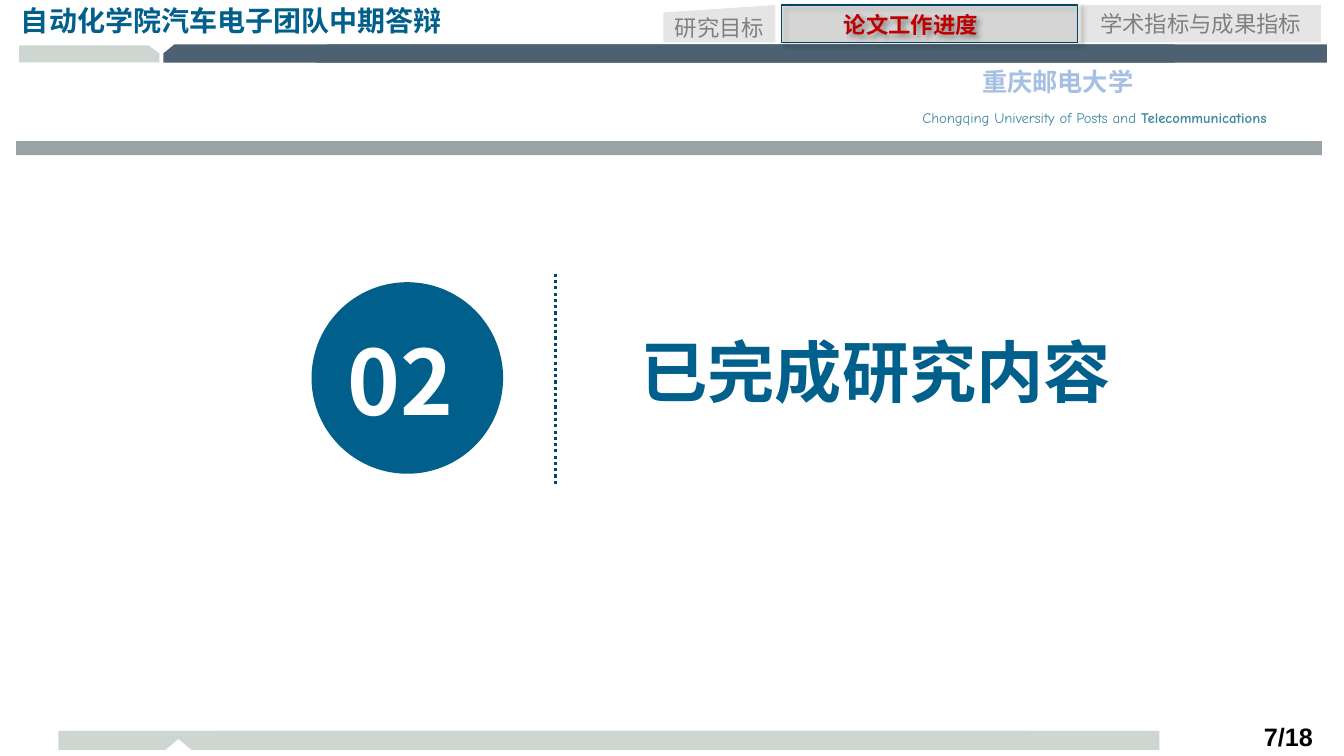
import pptx
import pptx.dml.color
import pptx.enum.dml
import pptx.enum.shapes
import pptx.enum.text
import pptx.oxml
import pptx.oxml.ns
import pptx.util
from lxml import etree

Inches = pptx.util.Inches
SHAPE = pptx.enum.shapes.MSO_SHAPE
ALIGN = pptx.enum.text.PP_ALIGN
ANCHOR = pptx.enum.text.MSO_ANCHOR
CJK, LATIN = "Noto Sans CJK SC", "Comic Neue"
COLORS = {
    "blue": "00608B", "navy": "004767", "slate": "4E6172", "sage": "CDD6D1",
    "ash": "99A2A5", "gray": "808080", "teal": "4089A0", "sky": "A5C0E2",
    "red": "C00000", "white": "FFFFFF", "black": "000000",
}


def rgb(name):
    return pptx.dml.color.RGBColor.from_string(COLORS[name])


def add_run(p, text, size=16, color="gray", bold=False, font=CJK):
    r = p.add_run()
    r.text = text
    r.font.size = pptx.util.Pt(size)
    r.font.bold = bold
    r.font.color.rgb = rgb(color)
    r.font.name = font
    ea = etree.SubElement(r.font._element, pptx.oxml.ns.qn("a:ea"))
    ea.set("typeface", font)


class SlideBuilder:
    """Draws styled elements on one slide."""

    def __init__(self, prs):
        self.s = prs.slides.add_slide(prs.slide_layouts[6])

    def paint(self, sp, fill, alpha=None, line=None):
        sp.shadow.inherit = False
        sp.fill.solid()
        sp.fill.fore_color.rgb = rgb(fill)
        if alpha:
            clr = sp.fill._xPr.find(".//" + pptx.oxml.ns.qn("a:srgbClr"))
            etree.SubElement(clr, pptx.oxml.ns.qn("a:alpha")).set("val", str(alpha * 1000))
        if line:
            sp.line.color.rgb = rgb(line)
            sp.line.width = pptx.util.Pt(1)
        else:
            sp.line.fill.background()
        return sp

    def shape(self, kind, box, fill, **style):
        sp = self.s.shapes.add_shape(kind, *map(Inches, box))
        return self.paint(sp, fill, **style)

    def polygon(self, points, fill):
        points = [(Inches(x), Inches(y)) for x, y in points]
        builder = self.s.shapes.build_freeform(*points[0], scale=1.0)
        builder.add_line_segments(points[1:], close=True)
        return self.paint(builder.convert_to_shape(), fill)

    def shadow(self, sp):
        sp.shadow.inherit = False
        effects = sp._element.spPr.find(pptx.oxml.ns.qn("a:effectLst"))
        effects.append(pptx.oxml.parse_xml(
            f'<a:outerShdw {pptx.oxml.ns.nsdecls("a")} blurRad="50800" dist="38100" '
            'dir="2700000" algn="tl" rotWithShape="0"><a:srgbClr val="000000">'
            '<a:alpha val="40000"/></a:srgbClr></a:outerShdw>'))

    def text(self, box, runs, align=ALIGN.LEFT, inset=(0.1, 0.05), wrap=True, indent=0, **style):
        sp = self.s.shapes.add_textbox(*map(Inches, box))
        tf = sp.text_frame
        tf.word_wrap = wrap
        tf.margin_left = tf.margin_right = Inches(inset[0])
        tf.margin_top = tf.margin_bottom = Inches(inset[1])
        p = tf.paragraphs[0]
        p.alignment = align
        if indent:
            p._p.get_or_add_pPr().set("indent", str(Inches(indent)))
        for text, bold in runs:
            add_run(p, text, bold=bold, **style)
        return sp

    def dotted_line(self, x, top, bottom, color):
        line = self.s.shapes.add_connector(
            pptx.enum.shapes.MSO_CONNECTOR.STRAIGHT,
            Inches(x), Inches(bottom), Inches(x), Inches(top))
        line.line.color.rgb = rgb(color)
        line.line.width = pptx.util.Pt(2.25)
        line.line.dash_style = pptx.enum.dml.MSO_LINE.ROUND_DOT
        etree.SubElement(line._element.spPr, pptx.oxml.ns.qn("a:effectLst"))


def draw_frame(b):
    b.text((8.5, 1.04, 4.71, 0.25),
           [("Chongqing University of Posts and ", False), ("Telecommunications", True)],
           align=ALIGN.CENTER, inset=(0.07, 0.04), size=10.5, color="teal", font=LATIN)
    b.text((8.77, 0.62, 3.44, 0.38), [("重庆邮电大学", True)],
           align=ALIGN.CENTER, inset=(0.07, 0.04), size=18, color="sky")
    for left, right, notch in ((2.12, 11.5, 3.28), (0.58, 10.23, 1.77)):
        b.polygon([(right, 7.25), (right, 7.44), (notch + 0.13, 7.44), (notch, 7.33),
                   (notch - 0.13, 7.44), (left, 7.44), (left, 7.25)], "sage")
    b.polygon([(1.58, 0.62), (0.19, 0.62), (0.19, 0.45), (1.47, 0.45), (1.58, 0.53)], "sage")
    b.shape(SHAPE.RECTANGLE, (0.16, 1.4, 12.95, 0.14), "ash")
    for left, right in ((3.14, 13.16), (1.62, 11.65)):
        b.polygon([(right, 0.44), (right, 0.62), (left, 0.62), (left, 0.53),
                   (left + 0.11, 0.44)], "slate")
    b.text((11.98, 7.11, 1.14, 0.22), [("7/18", True)],
           align=ALIGN.RIGHT, size=18, color="black", font="Arial")
    b.text((0.11, -0.01, 4.41, 0.44), [("自动化学院汽车电子团队中期答辩", True)],
           wrap=False, size=20, color="blue")


def draw_section(b):
    b.text((5.69, 3.21, 5.49, 0.94), [("已完成研究内容", True)], align=ALIGN.CENTER,
           inset=(0.13, 0.07), wrap=False, indent=0.5, size=48, color="blue")
    b.dotted_line(5.51, 2.69, 4.8, "navy")
    b.shape(SHAPE.OVAL, (3.09, 2.8, 1.9, 1.9), "blue")
    b.text((3.45, 3.23, 1.11, 1.08), [("02", True)],
           inset=(0, 0), wrap=False, size=64, color="white")


def draw_tabs(b):
    goal = b.shape(SHAPE.FLOWCHART_MANUAL_INPUT, (6.58, 0.05, 1.11, 0.37), "gray", alpha=20)
    goal.text_frame.vertical_anchor = ANCHOR.MIDDLE
    p = goal.text_frame.paragraphs[0]
    p.alignment = ALIGN.CENTER
    add_run(p, "研究目标")
    b.shape(SHAPE.RECTANGLE, (10.72, 0.05, 2.38, 0.37), "gray", alpha=20)
    b.text((10.75, 0.05, 2.32, 0.37), [("学术指标与成果指标", False)], align=ALIGN.CENTER)
    b.shadow(b.shape(SHAPE.RECTANGLE, (7.75, 0.05, 2.94, 0.37), "gray", alpha=20, line="navy"))
    b.shadow(b.text((8.27, 0.06, 1.89, 0.37), [("论文工作进度", True)], color="red"))


def main():
    prs = pptx.Presentation()
    prs.slide_width, prs.slide_height = Inches(13.33), Inches(7.5)
    b = SlideBuilder(prs)
    draw_frame(b)
    draw_section(b)
    draw_tabs(b)
    prs.save("out.pptx")


if __name__ == "__main__":
    main()
